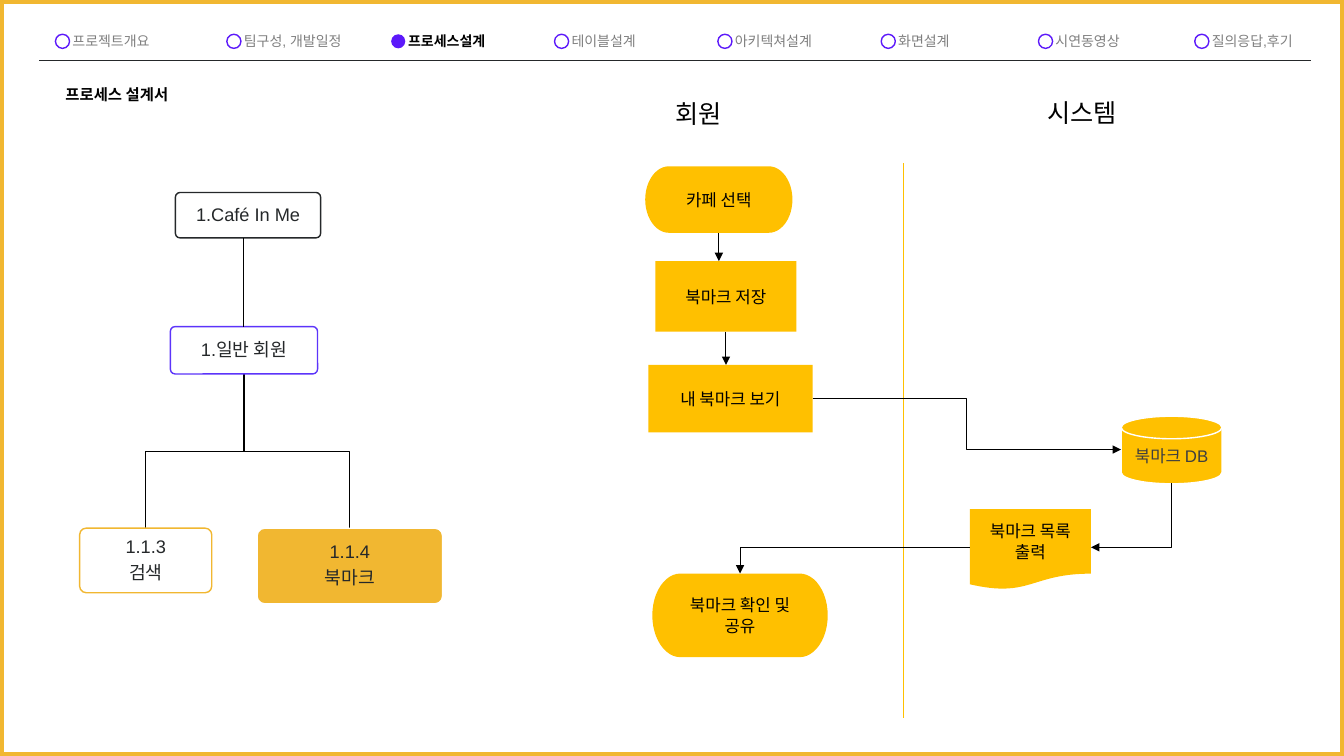
"""Build the bookmark process design slide."""
from dataclasses import dataclass

from pptx import Presentation
from pptx.dml.color import RGBColor
from pptx.enum.shapes import MSO_CONNECTOR, MSO_SHAPE
from pptx.enum.text import MSO_ANCHOR, MSO_AUTO_SIZE, PP_ALIGN
from pptx.oxml.ns import qn
from pptx.util import Emu, Pt

PX = 9144
WIDE, HIGH = 1333, 750
FONT = "Arial"
GOLD, AMBER, VIOLET, BLUE = "F1B731", "FFC000", "5C19FA", "5C34FA"
BLACK, INK, GRAY, DARK, WHITE = "000000", "25282A", "7F7F7F", "3F3F3F", "FFFFFF"
STRAIGHT, ELBOW = MSO_CONNECTOR.STRAIGHT, MSO_CONNECTOR.ELBOW
OVAL, RECT, ROUND = MSO_SHAPE.OVAL, MSO_SHAPE.RECTANGLE, MSO_SHAPE.ROUNDED_RECTANGLE
PILL, DISK = MSO_SHAPE.FLOWCHART_TERMINATOR, MSO_SHAPE.FLOWCHART_MAGNETIC_DISK
PAPER = MSO_SHAPE.FLOWCHART_DOCUMENT
LEFT, CENTER = PP_ALIGN.LEFT, PP_ALIGN.CENTER
TOP, MIDDLE = MSO_ANCHOR.TOP, MSO_ANCHOR.MIDDLE
GROW = MSO_AUTO_SIZE.SHAPE_TO_FIT_TEXT
TOP_SIDE, BOTTOM_SIDE = 0, 2


@dataclass
class Tab:
    """One step of the top menu."""
    text: str
    left: int
    width: int
    active: bool = False


@dataclass
class Head:
    """A free heading."""
    text: str
    box: tuple
    size: int
    bold: bool = False


@dataclass
class Node:
    """A filled step of the flow."""
    text: str
    kind: int
    box: tuple
    color: str = BLACK
    line: str | None = None


@dataclass
class Leaf:
    """A rounded box of the tree."""
    text: str
    box: tuple
    line: str
    fill: str | None = None


@dataclass
class Bend:
    """An elbow arrow of the flow."""
    ends: tuple
    preset: str
    turn: int = 0


TABS = [
    Tab("프로젝트개요", 55, 121),
    Tab("팀구성, 개발일정", 225, 131),
    Tab("프로세스설계", 388, 136, True),
    Tab("테이블설계", 550, 99),
    Tab("아키텍쳐설계", 712, 131),
    Tab("화면설계", 874, 99),
    Tab("시연동영상", 1030, 99),
    Tab("질의응답,후기", 1185, 115),
]
HEADS = [
    Head("회원", (660, 93, 143, 40), 18),
    Head("시스템", (1029, 92, 133, 40), 18),
    Head("프로세스 설계서", (55, 79, 141, 29), 11, True),
]
NODES = [
    Node("카페 선택", PILL, (640, 165, 146, 66)),
    Node("북마크 저장", RECT, (650, 259, 140, 70)),
    Node("내 북마크 보기", RECT, (643, 362, 163, 67)),
    Node("북마크 DB", DISK, (1112, 413, 100, 67), DARK, WHITE),
    Node("북마크 확인 및\n공유", PILL, (647, 569, 174, 83)),
    Node("북마크 목록\n출력", PAPER, (962, 505, 120, 80)),
]
BENDS = [
    Bend((806, 395, 1112, 446), "bentConnector3"),
    Bend((1090, 471, 1154, 551), "bentConnector2", 90),
    Bend((962, 543, 734, 569), "bentConnector2"),
]
LEAVES = [
    Leaf("1.Café In Me", (174, 191, 144, 45), INK),
    Leaf("1.일반 회원", (169, 324, 146, 47), BLUE),
    Leaf("1.1.4\n북마크", (255, 524, 184, 75), WHITE, GOLD),
    Leaf("1.1.3\n검색", (79, 524, 131, 64), GOLD),
]


def scale(*nums: int) -> list:
    """Turn px into EMU."""
    return [Emu(num * PX) for num in nums]


def tint(code: str) -> RGBColor:
    """Turn a hex string into a colour."""
    return RGBColor.from_string(code)


def paint(shape, fill: str | None = None, line: str | None = None, weight: float = 1) -> None:
    """Set the fill and outline of a shape."""
    shape.shadow.inherit = False
    if fill:
        shape.fill.solid()
        shape.fill.fore_color.rgb = tint(fill)
    else:
        shape.fill.background()
    if line:
        shape.line.color.rgb = tint(line)
        shape.line.width = Pt(weight)
    else:
        shape.line.fill.background()


def write(shape, text: str, *, size: int, color: str = BLACK, bold: bool = False,
          align: int = CENTER, anchor: int = MIDDLE, side: int = 10,
          lead: float | None = None, gap: float = 0) -> None:
    """Put formatted text into a shape."""
    frame = shape.text_frame
    frame.word_wrap = True
    frame.vertical_anchor = anchor
    frame.margin_left, frame.margin_top, frame.margin_right, frame.margin_bottom = scale(
        side, 5, side, 5)
    for row, part in enumerate(text.split("\n")):
        para = frame.paragraphs[0] if row == 0 else frame.add_paragraph()
        para.text = part
        para.alignment = align
        if lead:
            para.line_spacing = lead
        if row and gap:
            para.space_before = Pt(gap)
        font = para.font
        font.name, font.size, font.bold = FONT, Pt(size), bold
        font.color.rgb = tint(color)


def label(shapes, text: str, box: tuple, **form) -> None:
    """Add a text box that grows with its text."""
    item = shapes.add_textbox(*scale(*box))
    write(item, text, align=LEFT, anchor=TOP, **form)
    item.text_frame.auto_size = GROW


def link(shapes, ends: tuple, *, kind: int = STRAIGHT, color: str = BLACK,
         weight: float = 0.75, arrow: bool = False):
    """Add a connector, with an arrowhead if asked."""
    wire = shapes.add_connector(kind, *scale(*ends))
    wire.line.color.rgb = tint(color)
    wire.line.width = Pt(weight)
    if arrow:
        stroke = wire.line._get_or_add_ln()
        stroke.append(stroke.makeelement(qn("a:tailEnd"), {"type": "triangle"}))
    props = wire._element.spPr
    props.append(props.makeelement(qn("a:effectLst"), {}))
    return wire


def bend(shapes, item: Bend) -> None:
    """Add an elbow arrow."""
    props = link(shapes, item.ends, kind=ELBOW, arrow=True)._element.spPr
    props.find(qn("a:prstGeom")).set("prst", item.preset)
    if item.turn:
        props.find(qn("a:xfrm")).set("rot", str(item.turn * 60000))


def branch(shapes, goal: int) -> None:
    """Add a stepped line from the member box down to a leaf."""
    path = shapes.build_freeform(242, 371, scale=PX)
    path.add_line_segments([(242, 448), (goal, 448), (goal, 524)], close=False)
    paint(path.convert_to_shape(), line=BLACK, weight=0.75)


def menu(shapes) -> None:
    """Draw the top menu and its rule."""
    link(shapes, (39, 60, 1300, 60), color=INK, weight=1)
    for tab in TABS:
        dot = shapes.add_shape(OVAL, *scale(tab.left, 34, 14, 14))
        paint(dot, fill=VIOLET if tab.active else None, line=None if tab.active else VIOLET)
        label(shapes, tab.text, (tab.left + 7, 27, tab.width, 27), size=10,
              color=BLACK if tab.active else GRAY, bold=tab.active)


def flow(shapes) -> None:
    """Draw the steps of the flow and their arrows."""
    link(shapes, (896, 162, 896, 712), color=AMBER)
    steps = []
    for node in NODES:
        step = shapes.add_shape(node.kind, *scale(*node.box))
        paint(step, fill=AMBER, line=node.line)
        write(step, node.text, size=12, color=node.color)
        steps.append(step)
    pick, save = steps[:2]
    wire = link(shapes, (713, 231, 713, 259), arrow=True)
    wire.begin_connect(pick, BOTTOM_SIDE)
    wire = link(shapes, (720, 329, 720, 362), arrow=True)
    wire.begin_connect(save, BOTTOM_SIDE)
    for item in BENDS:
        bend(shapes, item)


def tree(shapes) -> None:
    """Draw the tree of menu levels."""
    for goal in (144, 347):
        branch(shapes, goal)
    cells = []
    for leaf in LEAVES:
        cell = shapes.add_shape(ROUND, *scale(*leaf.box))
        cell.adjustments[0] = 0.1
        paint(cell, fill=leaf.fill, line=leaf.line)
        write(cell, leaf.text, size=13, color=INK, side=5, lead=0.9, gap=4.5)
        cells.append(cell)
    wire = link(shapes, (242, 236, 242, 324))
    wire.end_connect(cells[1], TOP_SIDE)


def main() -> None:
    """Build and save the slide."""
    deck = Presentation()
    deck.slide_width, deck.slide_height = scale(WIDE, HIGH)
    shapes = deck.slides.add_slide(deck.slide_layouts[6]).shapes
    menu(shapes)
    paint(shapes.add_shape(RECT, *scale(0, 0, WIDE, HIGH)), line=GOLD, weight=6)
    flow(shapes)
    for head in HEADS:
        label(shapes, head.text, head.box, size=head.size, bold=head.bold)
    tree(shapes)
    deck.save("out.pptx")


if __name__ == "__main__":
    main()
